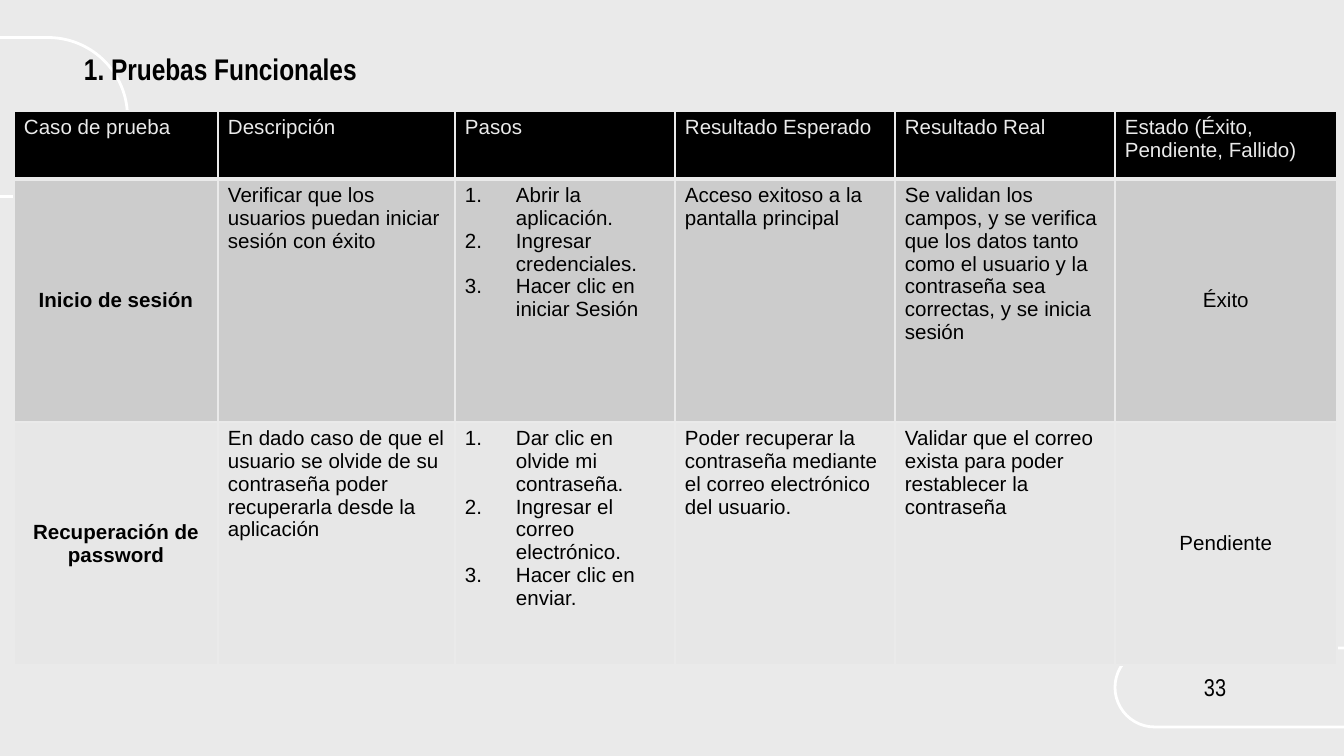
import pptx
import pptx.util
import pptx.dml.color
import pptx.enum.shapes
import pptx.enum.text
import pptx.oxml
import pptx.oxml.ns
from lxml import etree

EMU_PER_PX = 9144000 / 1344
RGB = pptx.dml.color.RGBColor
BLACK = RGB(0x00, 0x00, 0x00)
WHITE = RGB(0xFF, 0xFF, 0xFF)
PAPER = RGB(0xEA, 0xEA, 0xEA)
ROW_FILLS = [BLACK, RGB(0xCC, 0xCC, 0xCC), RGB(0xE7, 0xE7, 0xE7)]
ALIGN = pptx.enum.text.PP_ALIGN
ANCHOR = pptx.enum.text.MSO_ANCHOR

COLUMN_WIDTHS = [204, 237, 220, 220, 220, 222]
ROW_HEIGHTS = [68, 243, 243]
STEPS_COLUMN = 2
TEST_CASES = [
    ["Caso de prueba", "Descripción", "Pasos", "Resultado Esperado",
     "Resultado Real", "Estado (Éxito, Pendiente, Fallido)"],
    ["Inicio de sesión",
     "Verificar que los usuarios puedan iniciar sesión con éxito",
     "Abrir la aplicación.\nIngresar credenciales.\nHacer clic en iniciar Sesión",
     "Acceso exitoso a la pantalla principal",
     "Se validan los campos, y se verifica que los datos tanto como el usuario "
     "y la contraseña sea correctas, y se inicia sesión",
     "Éxito"],
    ["Recuperación de password",
     "En dado caso de que el usuario se olvide de su contraseña poder "
     "recuperarla desde la aplicación",
     "Dar clic en olvide mi contraseña.\nIngresar el correo electrónico.\n"
     "Hacer clic en enviar.",
     "Poder recuperar la contraseña mediante el correo electrónico del usuario.",
     "Validar que el correo exista para poder restablecer la contraseña",
     "Pendiente"],
]


def px(n):
    return pptx.util.Emu(round(n * EMU_PER_PX))


def set_margins(box, horizontal, vertical):
    box.margin_left = box.margin_right = px(horizontal)
    box.margin_top = box.margin_bottom = px(vertical)


def format_runs(p, font, size, color, bold=False):
    for r in p.runs:
        r.font.name = font
        r.font.size = pptx.util.Pt(size)
        r.font.bold = bold
        r.font.color.rgb = color


def add_pill_outline(slide, x, y, w, h):
    kind = pptx.enum.shapes.MSO_SHAPE.ROUNDED_RECTANGLE
    sp = slide.shapes.add_shape(kind, px(x), px(y), px(w), px(h))
    sp.adjustments[0] = 0.5
    sp.rotation = 90
    sp.shadow.inherit = False
    sp.fill.background()
    sp.line.color.rgb = WHITE
    sp.line.width = pptx.util.Pt(1.5)


def add_text(slide, text, x, y, w, h, size, margins, bold=False,
             align=ALIGN.LEFT, anchor=ANCHOR.TOP, spacing=1.0):
    tf = slide.shapes.add_textbox(px(x), px(y), px(w), px(h)).text_frame
    tf.word_wrap = True
    tf.vertical_anchor = anchor
    set_margins(tf, *margins)
    p = tf.paragraphs[0]
    p.text = text
    p.alignment = align
    p.line_spacing = spacing
    format_runs(p, "Arial Narrow", size, BLACK, bold)


def number_paragraph(p):
    pPr = p._p.get_or_add_pPr()
    pPr.set("marL", str(px(51)))
    pPr.set("indent", str(-px(51)))
    qn = pptx.oxml.ns.qn
    color = etree.SubElement(pPr, qn("a:buClr"))
    etree.SubElement(color, qn("a:srgbClr")).set("val", str(BLACK))
    etree.SubElement(pPr, qn("a:buFont")).set("typeface", "Arial")
    etree.SubElement(pPr, qn("a:buAutoNum")).set("type", "arabicPeriod")


def set_borders(cell, top, bottom):
    """Draw all four sides; top and bottom are widths in points."""
    tcPr = cell._tc.get_or_add_tcPr()
    widths = {"lnL": 1, "lnR": 1, "lnT": top, "lnB": bottom}
    for i, (side, width) in enumerate(widths.items()):
        tcPr.insert(i, pptx.oxml.parse_xml(
            f'<a:{side} {pptx.oxml.ns.nsdecls("a")} w="{pptx.util.Pt(width)}">'
            f'<a:solidFill><a:srgbClr val="{PAPER}"/></a:solidFill></a:{side}>'))


def fill_cell(cell, text, row, col):
    header = row == 0
    centered = not header and col in (0, len(COLUMN_WIDTHS) - 1)
    cell.fill.solid()
    cell.fill.fore_color.rgb = ROW_FILLS[row]
    set_borders(cell, top=3 if row == 1 else 1, bottom=3 if header else 1)
    set_margins(cell, 10, 5)
    cell.vertical_anchor = ANCHOR.MIDDLE if centered else ANCHOR.TOP
    cell.text_frame.text = text
    for p in cell.text_frame.paragraphs:
        if not header and col == STEPS_COLUMN:
            number_paragraph(p)
        p.alignment = ALIGN.CENTER if centered else ALIGN.LEFT
        format_runs(p, "Arial", 11, PAPER if header else BLACK,
                    bold=not header and col == 0)


def add_test_table(slide, x, y):
    table = slide.shapes.add_table(
        len(ROW_HEIGHTS), len(COLUMN_WIDTHS), px(x), px(y),
        px(sum(COLUMN_WIDTHS)), px(sum(ROW_HEIGHTS))).table
    table.first_row = table.horz_banding = False
    for column, width in zip(table.columns, COLUMN_WIDTHS):
        column.width = px(width)
    for row, height in zip(table.rows, ROW_HEIGHTS):
        row.height = px(height)
    for i, texts in enumerate(TEST_CASES):
        for j, text in enumerate(texts):
            fill_cell(table.cell(i, j), text, i, j)


def main():
    prs = pptx.Presentation()
    prs.slide_width, prs.slide_height = px(1344), px(756)
    slide = prs.slides.add_slide(prs.slide_layouts[6])
    slide.background.fill.solid()
    slide.background.fill.fore_color.rgb = PAPER

    add_pill_outline(slide, 1282, 481, 79, 413)
    add_pill_outline(slide, -144, -75, 159, 384)
    add_text(slide, "1. Pruebas Funcionales", 74, 30, 454, 81, 16, (10, 5),
             bold=True, anchor=ANCHOR.MIDDLE, spacing=0.9)
    add_test_table(slide, 14, 111)
    add_text(slide, "33", 1180, 659, 59, 58, 13, (13, 13), align=ALIGN.RIGHT)
    prs.save("out.pptx")


if __name__ == "__main__":
    main()
